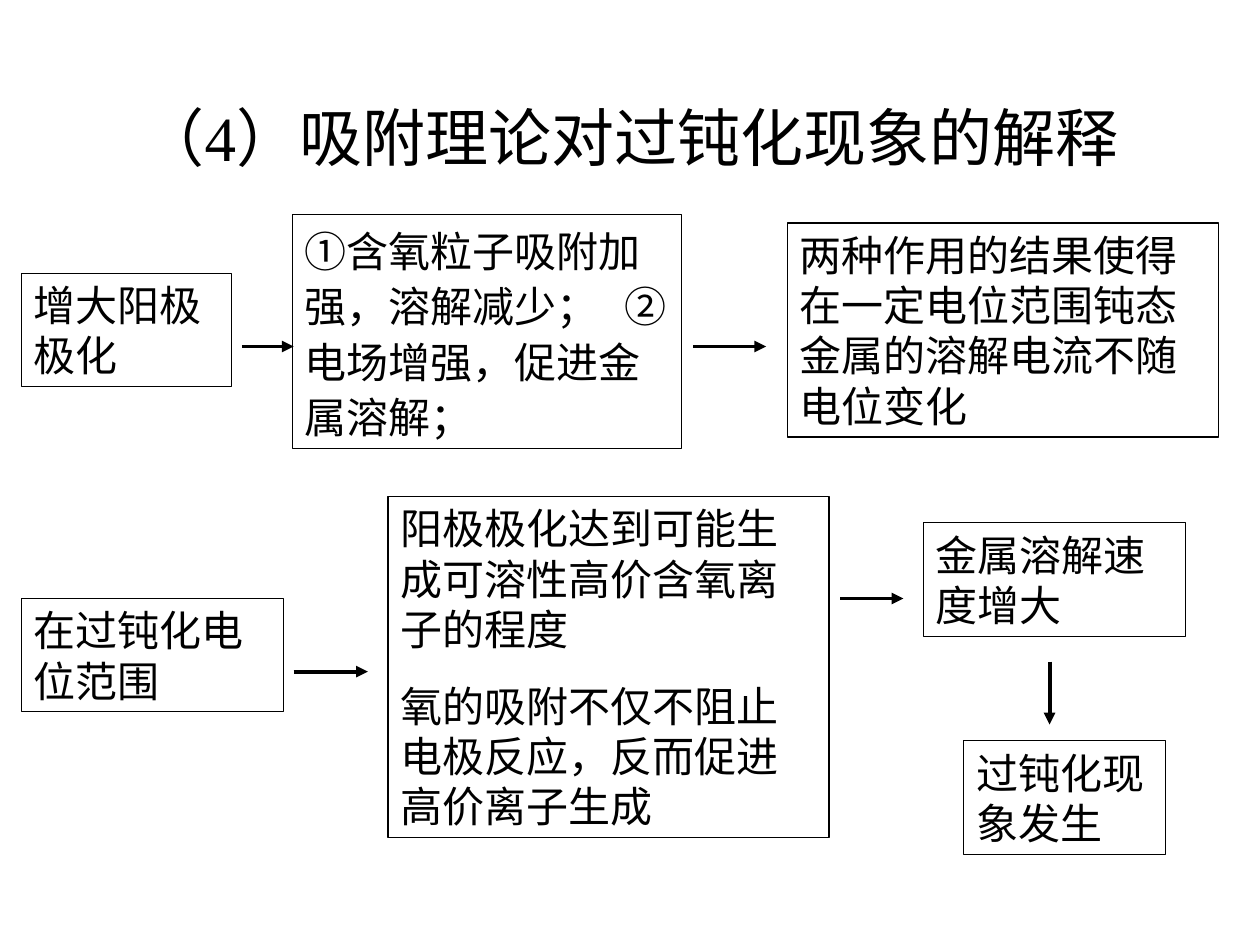
from lxml.etree import SubElement
from pptx import Presentation
from pptx.dml.color import RGBColor
from pptx.enum.shapes import MSO_CONNECTOR, MSO_SHAPE
from pptx.enum.text import MSO_ANCHOR, PP_ALIGN
from pptx.oxml.ns import qn
from pptx.util import Inches, Pt

BLACK = RGBColor(0x00, 0x00, 0x00)
TITLE_FONT = "Times New Roman"
BODY_FONT = "Cabin"


def write_text(paragraph, text, *, font, size, align=PP_ALIGN.LEFT,
               spacing=None, before=None, tab=None):
    paragraph.text = text
    paragraph.alignment = align
    if spacing:
        paragraph.line_spacing = spacing
    if before:
        paragraph.space_before = Pt(before)
    if tab:
        stops = SubElement(paragraph._p.get_or_add_pPr(), qn("a:tabLst"))
        SubElement(stops, qn("a:tab"), pos=str(Inches(tab)), algn="l")
    paragraph.font.name = font
    paragraph.font.size = Pt(size)
    paragraph.font.color.rgb = BLACK


class FlowSlide:
    box_line = Pt(0.75)
    arrow_line = Pt(2.25)
    body_size = 24
    title_size = 36
    paragraph_gap = 15

    def __init__(self, slide):
        self.slide = slide

    def title(self, text, left, top, width, height):
        heading = self.slide.shapes.title
        heading.left, heading.top = Inches(left), Inches(top)
        heading.width, heading.height = Inches(width), Inches(height)
        heading.text_frame.vertical_anchor = MSO_ANCHOR.MIDDLE
        write_text(heading.text_frame.paragraphs[0], text, font=TITLE_FONT,
                   size=self.title_size, align=PP_ALIGN.CENTER)

    def box(self, statements, left, top, width, height, **text_format):
        step = self.slide.shapes.add_shape(
            MSO_SHAPE.RECTANGLE, Inches(left), Inches(top),
            Inches(width), Inches(height))
        step.shadow.inherit = False
        step.fill.background()
        step.line.color.rgb = BLACK
        step.line.width = self.box_line
        frame = step.text_frame
        frame.word_wrap = True
        frame.vertical_anchor = MSO_ANCHOR.TOP
        for index, statement in enumerate(statements):
            paragraph = frame.add_paragraph() if index else frame.paragraphs[0]
            write_text(paragraph, statement, font=BODY_FONT, size=self.body_size,
                       before=self.paragraph_gap if index else None, **text_format)

    def arrow(self, x1, y1, x2, y2):
        link = self.slide.shapes.add_connector(
            MSO_CONNECTOR.STRAIGHT, Inches(x1), Inches(y1), Inches(x2), Inches(y2))
        link.line.color.rgb = BLACK
        link.line.width = self.arrow_line
        SubElement(link.line._get_or_add_ln(), qn("a:tailEnd"), type="triangle")
        SubElement(link._element.spPr, qn("a:effectLst"))


def main():
    presentation = Presentation()
    presentation.slide_width = Inches(10)
    presentation.slide_height = Inches(7.5)
    title_only = presentation.slide_layouts[5]
    flow = FlowSlide(presentation.slides.add_slide(title_only))

    flow.title("（4）吸附理论对过钝化现象的解释", 0.75, 0.58, 8.5, 1)

    flow.box(["增大阳极极化"], 0.17, 2.17, 1.67, 0.9)
    flow.box(["①含氧粒子吸附加强，溶解减少；\t②电场增强，促进金属溶解；"],
             2.32, 1.7, 3.09, 1.86, spacing=1.1, tab=2.54)
    flow.box(["两种作用的结果使得在一定电位范围钝态金属的溶解电流不随电位变化"],
             6.25, 1.77, 3.42, 1.7)
    flow.box(["在过钝化电位范围"], 0.17, 4.75, 2.08, 0.9)
    flow.box(["阳极极化达到可能生成可溶性高价含氧离子的程度",
              "氧的吸附不仅不阻止电极反应，反而促进高价离子生成"],
             3.08, 3.94, 3.5, 2.71)
    flow.box(["金属溶解速度增大"], 7.33, 4.15, 2.08, 0.9)
    flow.box(["过钝化现象发生"], 7.65, 5.88, 1.6, 0.9)

    for start_x, end_x, y in [(1.92, 2.33, 2.75), (5.5, 6.08, 2.75),
                              (2.33, 2.92, 5.33), (6.67, 7.17, 4.75)]:
        flow.arrow(start_x, y, end_x, y)
    flow.arrow(8.33, 5.25, 8.33, 5.75)

    presentation.save("out.pptx")


if __name__ == "__main__":
    main()
